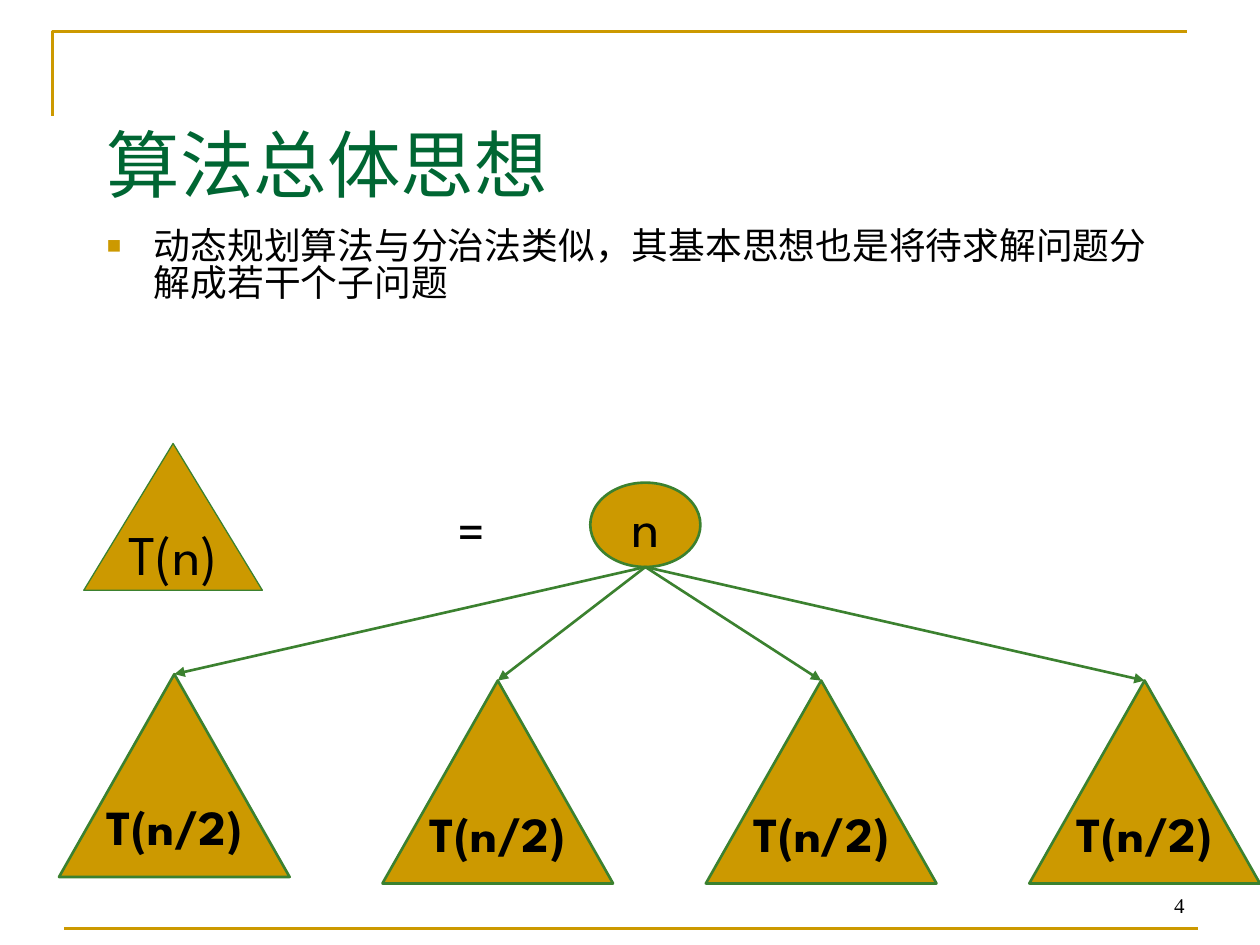
"""Build a slide showing how dynamic programming splits a problem into subproblems."""
from dataclasses import dataclass

from lxml import etree
from pptx import Presentation
from pptx import util as u
from pptx.dml.color import RGBColor
from pptx.enum import shapes, text
from pptx.oxml.ns import qn


@dataclass(frozen=True)
class Theme:
    gold: RGBColor = RGBColor.from_string("CC9900")
    green: RGBColor = RGBColor.from_string("3B812F")
    title: RGBColor = RGBColor.from_string("006633")
    black: RGBColor = RGBColor.from_string("000000")
    serif: str = "Times New Roman"
    chinese: str = "Noto Sans CJK SC"
    label: str = "League Spartan"
    title_size: int = 42
    body_size: int = 21
    node_size: int = 32
    child_size: int = 28
    number_size: int = 12


theme = Theme()


def write(shape, words, font, size, color=theme.black, bold=False, wrap=True,
          align=text.PP_ALIGN.CENTER, anchor=text.MSO_ANCHOR.MIDDLE):
    frame = shape.text_frame
    frame.auto_size = text.MSO_AUTO_SIZE.NONE
    frame.word_wrap = wrap
    frame.vertical_anchor = anchor
    paragraph = frame.paragraphs[0]
    paragraph.alignment = align
    run = paragraph.add_run()
    run.text = words
    run.font.name = font
    run.font.size = u.Pt(size)
    run.font.bold = bold
    run.font.color.rgb = color
    properties = run.font._element
    latin = properties.find(qn("a:latin"))
    latin.addnext(etree.Element(qn("a:ea"), typeface=theme.chinese))
    return paragraph


def draw(shape, color, width=1.5, fill=None):
    shape.line.color.rgb = color
    shape.line.width = u.Pt(width)
    if fill is not None:
        shape.fill.solid()
        shape.fill.fore_color.rgb = fill
    etree.SubElement(shape._element.spPr, qn("a:effectLst"))
    return shape


presentation = Presentation()
presentation.slide_width, presentation.slide_height = u.Cm(25.4), u.Cm(19.05)
slide = presentation.slides.add_slide(presentation.slide_layouts[1])
items = slide.shapes

builder = items.build_freeform(u.Cm(1.06), u.Cm(2.33))
builder.add_line_segments(
    [(u.Cm(1.06), u.Cm(0.63)), (u.Cm(23.92), u.Cm(0.63))], close=False)
draw(builder.convert_to_shape(), theme.gold).fill.background()
draw(items.add_connector(shapes.MSO_CONNECTOR.STRAIGHT, u.Cm(1.3), u.Cm(18.72),
                         u.Cm(24.16), u.Cm(18.72)), theme.gold)

title = items.title
title.left, title.top, title.width, title.height = (
    u.Cm(1.9), u.Cm(1.7), u.Cm(21.6), u.Cm(3.18))
write(title, "算法总体思想", theme.serif, theme.title_size, theme.title,
      align=text.PP_ALIGN.LEFT)

body = slide.placeholders[1]
body.left, body.top, body.width, body.height = (
    u.Cm(1.9), u.Cm(4.52), u.Cm(21.6), u.Cm(11.43))
paragraph = write(body, "动态规划算法与分治法类似，其基本思想也是将待求解问题分解成若干个子问题",
                  theme.chinese, theme.body_size, align=text.PP_ALIGN.LEFT,
                  anchor=text.MSO_ANCHOR.TOP)
paragraph.space_before = u.Pt(0)
paragraph.line_spacing = 0.83
properties = paragraph._p.get_or_add_pPr()
properties.set("marL", str(u.Cm(0.95)))
properties.set("indent", str(-u.Cm(0.95)))
bullet_color = etree.SubElement(properties, qn("a:buClr"))
etree.SubElement(bullet_color, qn("a:srgbClr"), val=str(theme.gold))
etree.SubElement(properties, qn("a:buSzPct"), val="65000")
etree.SubElement(properties, qn("a:buChar"), char="■")

root = draw(items.add_shape(shapes.MSO_SHAPE.OVAL, u.Cm(11.9), u.Cm(9.73),
                            u.Cm(2.22), u.Cm(1.7)), theme.green, fill=theme.gold)
write(root, "n", theme.label, theme.node_size, wrap=False)

for index, top in enumerate([13.59, 13.72, 13.72, 13.72]):
    child = draw(items.add_shape(
        shapes.MSO_SHAPE.ISOSCELES_TRIANGLE, u.Cm(1.19 + 6.52 * index), u.Cm(top),
        u.Cm(4.65), u.Cm(4.09)), theme.green, fill=theme.gold)
    write(child, "T(n/2)", theme.label, theme.child_size, bold=True, wrap=False)
    arrow = items.add_connector(
        shapes.MSO_CONNECTOR.STRAIGHT, root.left + root.width // 2,
        root.top + root.height, child.left + child.width // 2, child.top)
    arrow.end_connect(child, 0)
    draw(arrow, theme.green)
    etree.SubElement(arrow.line._get_or_add_ln(), qn("a:tailEnd"), type="triangle")

problem = draw(items.add_shape(
    shapes.MSO_SHAPE.ISOSCELES_TRIANGLE, u.Cm(1.69), u.Cm(8.94),
    u.Cm(3.6), u.Cm(2.96)), theme.green, width=0.75, fill=theme.gold)
write(problem, "T(n)", theme.label, theme.node_size, wrap=False)

equals = items.add_textbox(u.Cm(8.04), u.Cm(9.86), u.Cm(2.96), u.Cm(1.63))
write(equals, "=", theme.label, theme.node_size, anchor=text.MSO_ANCHOR.TOP)

number = items.add_textbox(u.Cm(18.2), u.Cm(17.36), u.Cm(5.93), u.Cm(1.27))
write(number, "4", theme.serif, theme.number_size, align=text.PP_ALIGN.RIGHT,
      anchor=text.MSO_ANCHOR.BOTTOM)

presentation.save("out.pptx")
